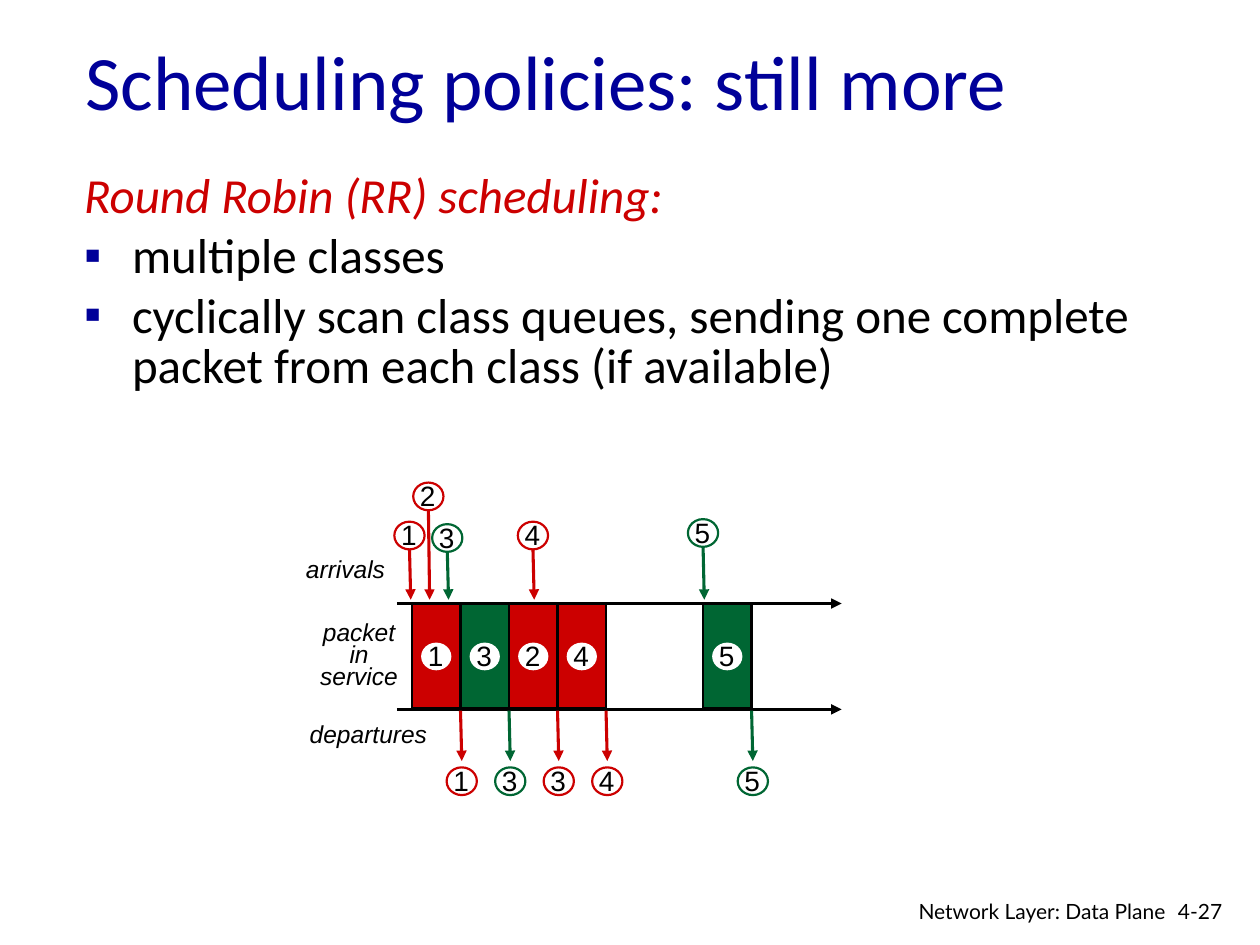
from lxml.etree import SubElement
from pptx import Presentation
from pptx.dml.color import RGBColor
from pptx.enum.shapes import MSO_CONNECTOR, MSO_SHAPE
from pptx.enum.text import MSO_ANCHOR, MSO_AUTO_SIZE, PP_ALIGN
from pptx.oxml.ns import qn
from pptx.util import Inches, Pt

COLORS = {
    "title": "000099",
    "red": "CC0000",
    "green": "006633",
    "black": "000000",
    "white": "FFFFFF",
}
COLUMNS, ROWS = 100, 75


class Board:
    def __init__(self):
        self.deck = Presentation()
        self.deck.slide_width, self.deck.slide_height = Inches(10), Inches(7.5)
        self.page = self.deck.slides.add_slide(self.deck.slide_layouts[6])

    def color(self, name):
        return RGBColor.from_string(COLORS[name])

    def x(self, columns):
        return round(self.deck.slide_width * columns / COLUMNS)

    def y(self, rows):
        return round(self.deck.slide_height * rows / ROWS)

    def area(self, left, top, width, height):
        return self.x(left), self.y(top), self.x(width), self.y(height)

    def add_span(self, para, text, size, font, color="black", italic=False):
        span = para.add_run()
        span.text = text
        span.font.size = Pt(size)
        span.font.name = font
        span.font.italic = italic
        span.font.color.rgb = self.color(color)

    def frame(self, *area, wrap=True, anchor=MSO_ANCHOR.TOP):
        frame = self.page.shapes.add_textbox(*self.area(*area)).text_frame
        frame.word_wrap = wrap
        frame.auto_size = MSO_AUTO_SIZE.NONE
        frame.vertical_anchor = anchor
        return frame

    def label(self, area, text, size, font, align=PP_ALIGN.LEFT, spacing=None,
              wrap=True, anchor=MSO_ANCHOR.TOP, **style):
        para = self.frame(*area, wrap=wrap, anchor=anchor).paragraphs[0]
        para.alignment = align
        para.line_spacing = spacing
        self.add_span(para, text, size, font, **style)

    def body(self, area, heading, points):
        frame = self.frame(*area)
        for index, text in enumerate([heading] + points):
            para = frame.add_paragraph() if index else frame.paragraphs[0]
            para.line_spacing = 0.85
            para.space_before = Pt(5.6)
            props = para._p.get_or_add_pPr()
            props.set("marL", str(Inches(0.38)))
            props.set("indent", str(-Inches(0.38)))
            if index:
                bullet_color = SubElement(props, qn("a:buClr"))
                SubElement(bullet_color, qn("a:srgbClr"), val=COLORS["title"])
                SubElement(props, qn("a:buFont"), typeface="Arial")
                SubElement(props, qn("a:buChar"), char="▪")
                self.add_span(para, text, 28, "Calibri")
            else:
                self.add_span(para, text, 28, "Calibri", "red", True)

    def shape(self, kind, area, fill, line=None):
        shape = self.page.shapes.add_shape(kind, *self.area(*area))
        shape.shadow.inherit = False
        shape.fill.solid()
        shape.fill.fore_color.rgb = self.color(fill)
        if line:
            shape.line.color.rgb = self.color(line)
            shape.line.width = Pt(1.25)
        else:
            shape.line.fill.background()

    def arrow(self, start, end, color, width):
        arrow = self.page.shapes.add_connector(
            MSO_CONNECTOR.STRAIGHT, self.x(start[0]), self.y(start[1]),
            self.x(end[0]), self.y(end[1]))
        arrow.line.color.rgb = self.color(color)
        arrow.line.width = Pt(width)
        props = arrow._element.spPr
        SubElement(props.get_or_add_ln(), qn("a:tailEnd"), type="triangle")
        SubElement(props, qn("a:effectLst"))

    def number(self, center, top, digit, line=None):
        self.shape(MSO_SHAPE.OVAL, (center - 1.2, top, 2.4, 2.2), "white", line)
        self.label((center - 1.65, top - 0.8, 3.3, 3.7), digit, 16, "Arial", wrap=False)


def main():
    board = Board()
    board.label((5.8, 0.1, 85, 12.5), "Scheduling policies: still more", 44,
                "Calibri", color="title", anchor=MSO_ANCHOR.MIDDLE)
    board.body((5.7, 13.3, 85, 8.3), "Round Robin (RR) scheduling:", [
        "multiple classes",
        "cyclically scan class queues, sending one complete "
        "packet from each class (if available)",
    ])

    timeline_top, timeline_bottom = 47.9, 56.3
    first_slot, slot = 32.7, 3.85
    for row in (timeline_top, timeline_bottom):
        board.arrow((31.5, row), (66.8, row), "black", 2)

    packets = [
        (0, "1", "1", "red"),
        (1, "3", "3", "green"),
        (2, "2", "3", "red"),
        (3, "4", "4", "red"),
        (6, "5", "5", "green"),
    ]
    for position, served, departed, color in packets:
        left = first_slot + position * slot
        done = left + slot
        board.shape(MSO_SHAPE.RECTANGLE, (left, timeline_top, slot, 8.3), color, "black")
        board.number(left + slot / 2, 51, served)
        board.arrow((done, 56.4), (done + 0.1, 60.4), color, 1.75)
        board.number(done + 0.1, 60.9, departed, color)

    arrivals = [
        (34, 38.3, "2", "red"),
        (32.5, 41.4, "1", "red"),
        (35.5, 41.6, "3", "green"),
        (42.3, 41.4, "4", "red"),
        (55.8, 41.2, "5", "green"),
    ]
    for center, top, digit, color in arrivals:
        board.arrow((center, top + 2.2), (center + 0.1, 47.6), color, 1.75)
        board.number(center, top, digit, color)

    board.label((23.3, 43.5, 8.8, 3.4), "arrivals", 14, "Arial", wrap=False, italic=True)
    board.label((23.6, 56.6, 11.9, 3.4), "departures", 14, "Arial", wrap=False, italic=True)
    board.label((23.8, 49, 9.4, 6.5), "packet in service", 14, "Arial",
                align=PP_ALIGN.CENTER, spacing=Pt(12.8), italic=True)

    board.label((92.5, 70.8, 6.1, 3), "4-27", 12, "Lato")
    board.label((69.7, 70.8, 23.8, 2.6), "Network Layer: Data Plane", 12, "Lato",
                align=PP_ALIGN.RIGHT)
    board.deck.save("out.pptx")


if __name__ == "__main__":
    main()
